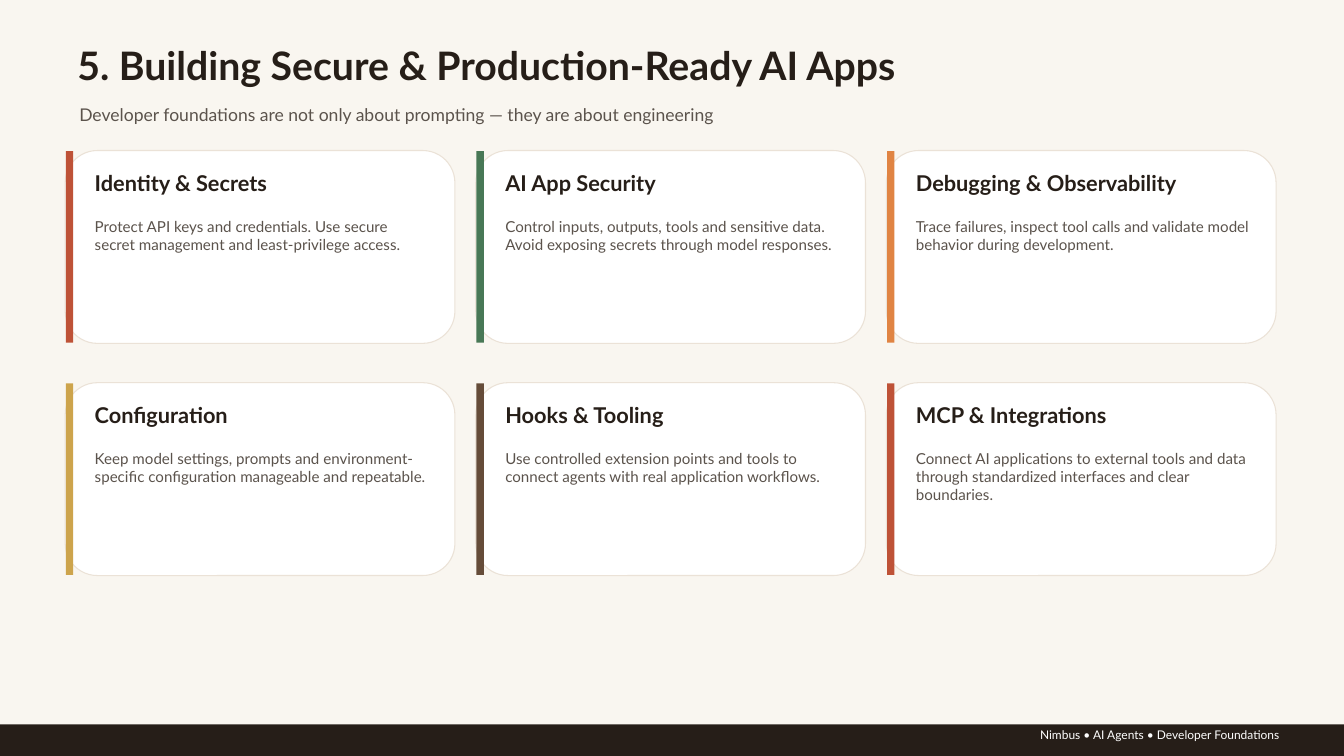
"""Build the slide on secure, production-ready AI apps."""
from pptx import Presentation
from pptx.dml.color import RGBColor
from pptx.enum.shapes import MSO_SHAPE
from pptx.enum.text import MSO_ANCHOR, MSO_AUTO_SIZE, PP_ALIGN
from pptx.util import Inches, Pt

CREAM = RGBColor(0xF9, 0xF6, 0xF0)
INK = RGBColor(0x26, 0x1E, 0x18)
GREY = RGBColor(0x5B, 0x53, 0x4C)
WHITE = RGBColor(0xFF, 0xFF, 0xFF)
EDGE = RGBColor(0xEB, 0xE2, 0xD7)
RUST = RGBColor(0xBE, 0x52, 0x37)
GREEN = RGBColor(0x48, 0x78, 0x56)
ORANGE = RGBColor(0xE0, 0x84, 0x43)
GOLD = RGBColor(0xCD, 0xA4, 0x4C)
BROWN = RGBColor(0x65, 0x4C, 0x39)

FRAME = {
    "margin_left": 0, "margin_top": 0, "margin_right": 0, "margin_bottom": 0,
    "word_wrap": True, "auto_size": MSO_AUTO_SIZE.NONE,
    "vertical_anchor": MSO_ANCHOR.TOP,
}
STYLES = {
    "title": (42, 50.4, INK, True, PP_ALIGN.LEFT),
    "lead": (18.8, 22.5, GREY, False, PP_ALIGN.LEFT),
    "head": (23.3, 27.9, INK, True, PP_ALIGN.LEFT),
    "body": (16.2, 19.4, GREY, False, PP_ALIGN.LEFT),
    "foot": (12.8, 15.3, WHITE, False, PP_ALIGN.RIGHT),
}
CARDS = [
    ("Identity & Secrets", RUST,
     "Protect API keys and credentials. Use secure secret management and least-privilege access."),
    ("AI App Security", GREEN,
     "Control inputs, outputs, tools and sensitive data. Avoid exposing secrets through model responses."),
    ("Debugging & Observability", ORANGE,
     "Trace failures, inspect tool calls and validate model behavior during development."),
    ("Configuration", GOLD,
     "Keep model settings, prompts and environment-specific configuration manageable and repeatable."),
    ("Hooks & Tooling", BROWN,
     "Use controlled extension points and tools to connect agents with real application workflows."),
    ("MCP & Integrations", RUST,
     "Connect AI applications to external tools and data through standardized interfaces and clear boundaries."),
]

deck = Presentation()
deck.slide_width, deck.slide_height = Inches(20), Inches(11.25)
slide = deck.slides.add_slide(deck.slide_layouts[5])
slide.background.fill.solid()
slide.background.fill.fore_color.rgb = CREAM


def write(text, style, left, top, width, height, box=None):
    area = [Inches(n) for n in (left, top, width, height)]
    box = box or slide.shapes.add_textbox(*area)
    box.left, box.top, box.width, box.height = area
    for key, value in FRAME.items():
        setattr(box.text_frame, key, value)
    size, pitch, color, bold, align = STYLES[style]
    line = box.text_frame.paragraphs[0]
    line.text = text
    line.alignment = align
    line.line_spacing = Pt(pitch)
    font = line.runs[0].font
    for key, value in {"name": "Lato", "size": Pt(size), "bold": bold}.items():
        setattr(font, key, value)
    font.color.rgb = color


def draw(kind, color, left, top, width, height, edge=None):
    shape = slide.shapes.add_shape(kind, *[Inches(n) for n in (left, top, width, height)])
    shape.shadow.inherit = False
    shape.fill.solid()
    shape.fill.fore_color.rgb = color
    if edge:
        shape.line.color.rgb = edge
        shape.line.width = Pt(1.13)
    else:
        shape.line.fill.background()


write("5. Building Secure & Production-Ready AI Apps", "title",
      1.15, 0.62, 17.81, 0.83, slide.shapes.title)
write("Developer foundations are not only about prompting — they are about engineering",
      "lead", 1.18, 1.55, 17.36, 0.5)

for i, (head, color, body) in enumerate(CARDS):
    row, col = divmod(i, 3)
    x, y = 0.97 + col * 6.11, 2.24 + row * 3.455
    draw(MSO_SHAPE.ROUNDED_RECTANGLE, WHITE, x, y, 5.8, 2.87, EDGE)
    draw(MSO_SHAPE.RECTANGLE, color, x + 0.01, y + 0.01, 0.11, 2.85)
    write(head, "head", x + 0.44, y + 0.29, 5.05, 0.53)
    write(body, "body", x + 0.44, y + 0.99, 5.01, 1.67)

draw(MSO_SHAPE.RECTANGLE, INK, 0, 10.78, 20, 0.47)
write("Nimbus • AI Agents • Developer Foundations", "foot", 0.93, 10.83, 18.11, 0.24)

deck.save("out.pptx")
